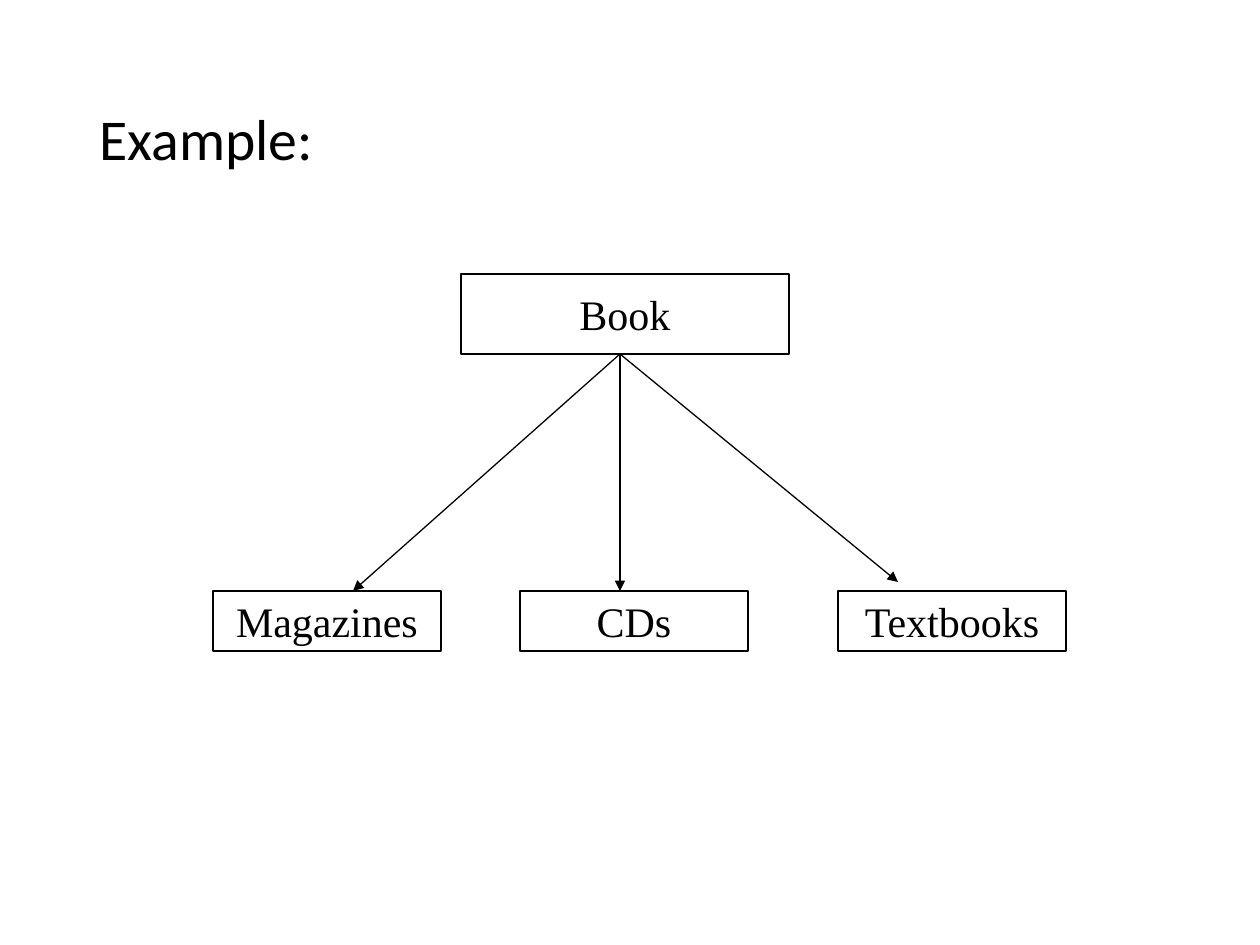
from dataclasses import dataclass

from lxml import etree
from pptx import Presentation
from pptx import util as u
from pptx.dml.color import RGBColor
from pptx.enum import shapes, text
from pptx.oxml.ns import qn

SCALE = 914400 / 126
COLORS = {"ink": "000000", "paper": "FFFFFF"}
LINE_WIDTH = u.Pt(0.75)


@dataclass
class Box:
    label: str
    x: int
    y: int
    w: int
    h: int


@dataclass
class Arrow:
    x1: int
    y1: int
    x2: int
    y2: int


TITLE = Box("Example:", 87, 50, 1087, 183)
PARENT = Box("Book", 461, 274, 328, 80)
CHILDREN = [
    Box(label, x, 591, 228, 60)
    for label, x in (("Magazines", 213), ("CDs", 520), ("Textbooks", 838))
]
ARROWS = [Arrow(620, 354, x, y) for x, y in ((353, 591), (620, 591), (898, 582))]


def px(*values: int) -> list[u.Emu]:
    return [u.Emu(round(v * SCALE)) for v in values]


def color(name: str) -> RGBColor:
    return RGBColor.from_string(COLORS[name])


def add_text(sp, label: str, font: str, size: int, align, wrap: bool) -> None:
    tf = sp.text_frame
    tf.word_wrap = wrap
    tf.vertical_anchor = text.MSO_ANCHOR.MIDDLE
    p = tf.paragraphs[0]
    p.alignment = align
    r = p.add_run()
    r.text = label
    r.font.name = font
    r.font.size = u.Pt(size)
    r.font.color.rgb = color("ink")


def draw_title(s, box: Box) -> None:
    sp = s.shapes.add_textbox(*px(box.x, box.y, box.w, box.h))
    add_text(sp, box.label, "Calibri", 33, text.PP_ALIGN.LEFT, True)
    sp.text_frame.paragraphs[0].line_spacing = 0.9


def draw_box(s, box: Box) -> None:
    sp = s.shapes.add_shape(
        shapes.MSO_SHAPE.RECTANGLE, *px(box.x, box.y, box.w, box.h)
    )
    sp.shadow.inherit = False
    sp.fill.solid()
    sp.fill.fore_color.rgb = color("paper")
    sp.line.color.rgb = color("ink")
    sp.line.width = LINE_WIDTH
    add_text(sp, box.label, "Times New Roman", 24, text.PP_ALIGN.CENTER, False)


def draw_arrow(s, arrow: Arrow) -> None:
    sp = s.shapes.add_connector(
        shapes.MSO_CONNECTOR.STRAIGHT, *px(arrow.x1, arrow.y1, arrow.x2, arrow.y2)
    )
    sp.line.color.rgb = color("ink")
    sp.line.width = LINE_WIDTH
    etree.SubElement(sp.line._get_or_add_ln(), qn("a:tailEnd"), type="triangle")
    etree.SubElement(sp._element.spPr, qn("a:effectLst"))


def main() -> None:
    prs = Presentation()
    prs.slide_width, prs.slide_height = px(1260, 945)
    s = prs.slides.add_slide(prs.slide_layouts[6])
    draw_title(s, TITLE)
    for box in [PARENT, *CHILDREN]:
        draw_box(s, box)
    for arrow in ARROWS:
        draw_arrow(s, arrow)
    prs.save("out.pptx")


if __name__ == "__main__":
    main()
